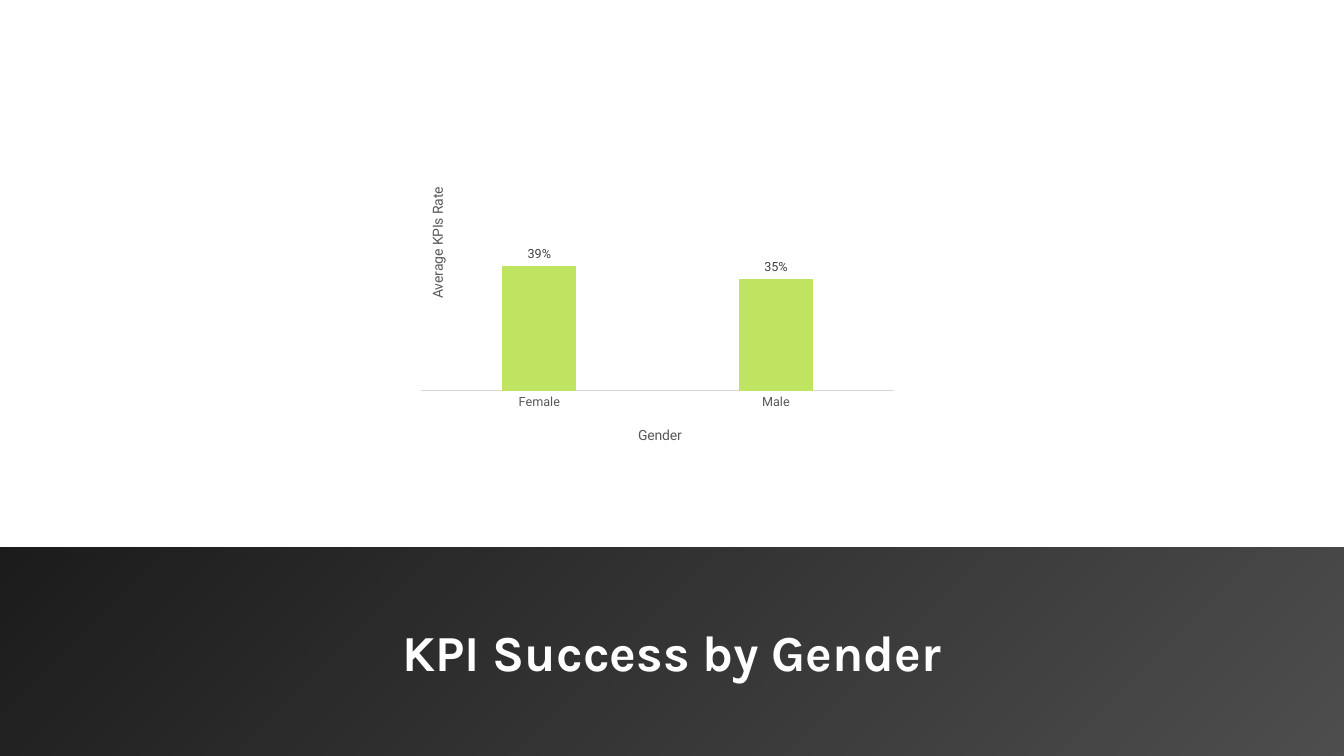
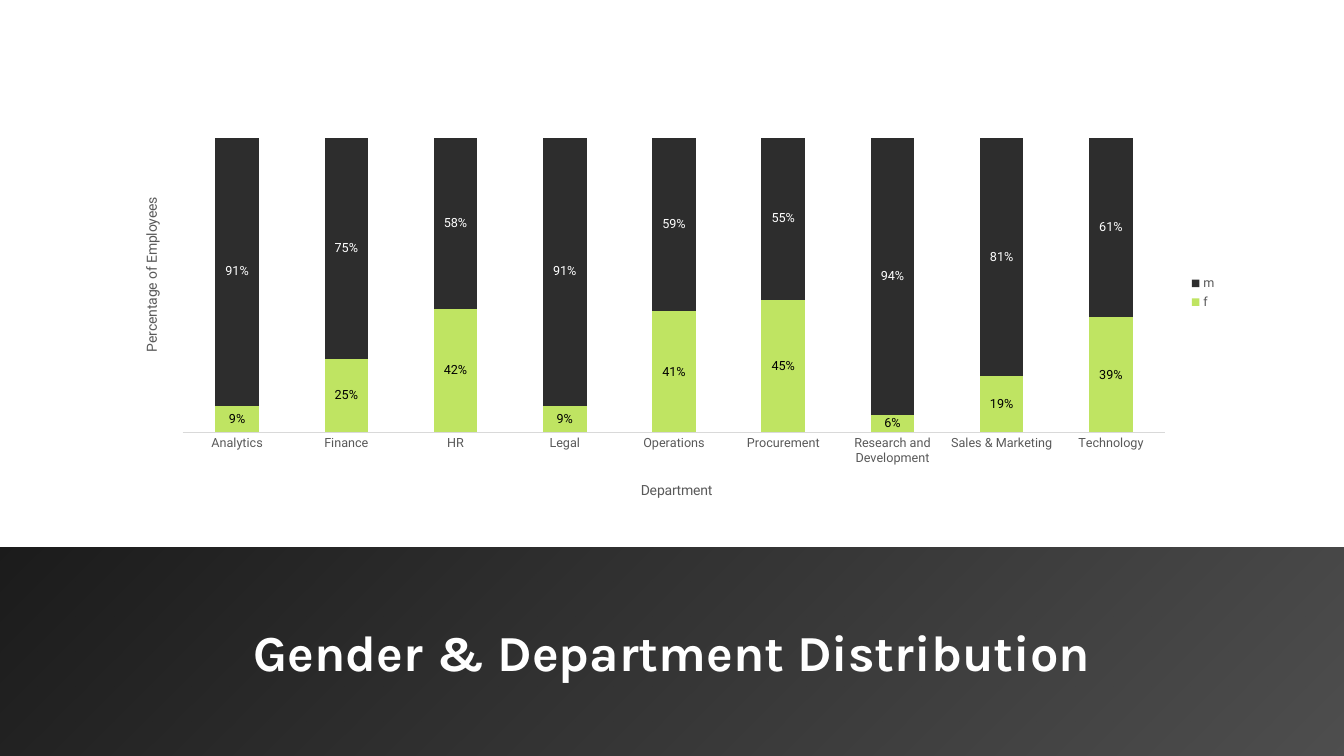
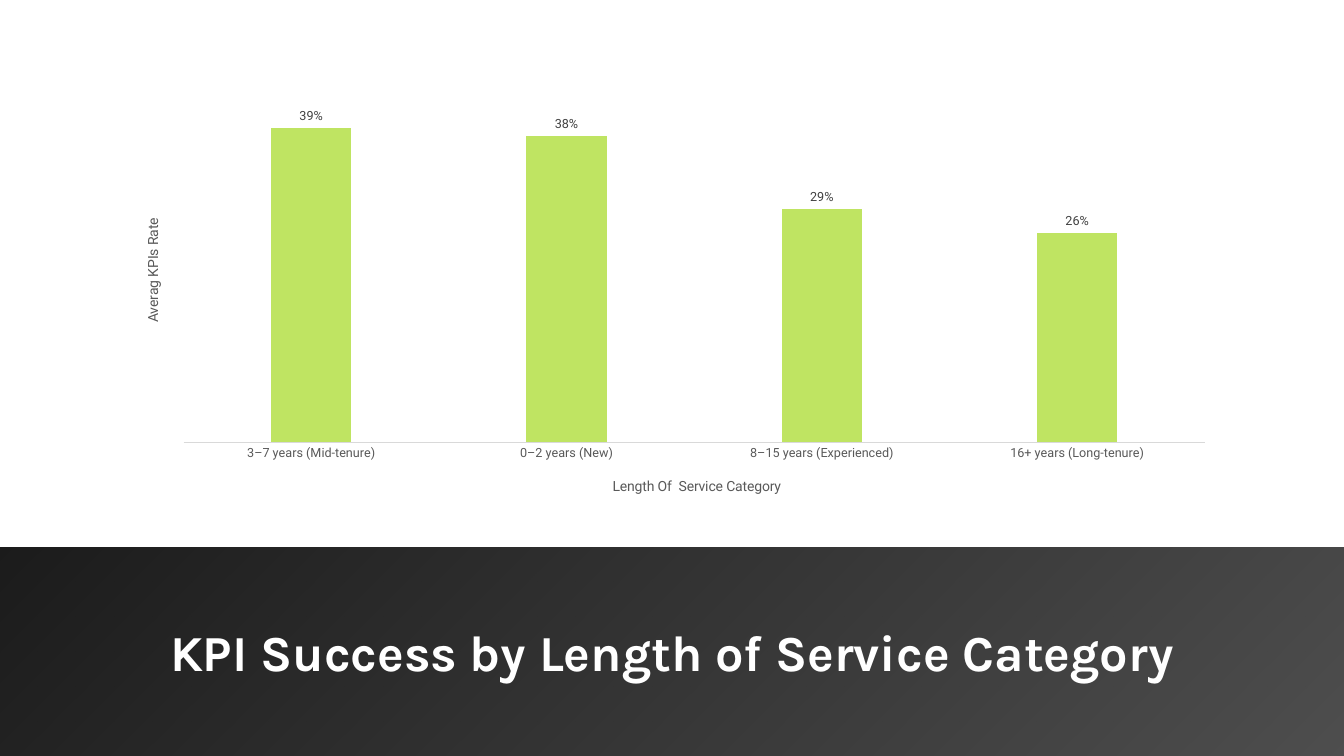
"""Build three slides that each show a column chart above a titled dark band."""

from dataclasses import dataclass

from lxml import etree
from pptx import Presentation
from pptx.chart.axis import CategoryAxis, ValueAxis
from pptx.chart.chart import Chart
from pptx.chart.data import CategoryChartData
from pptx.chart.series import BarSeries
from pptx.dml.color import RGBColor
from pptx.enum.chart import XL_CHART_TYPE, XL_LEGEND_POSITION, XL_TICK_MARK
from pptx.enum.shapes import MSO_SHAPE
from pptx.enum.text import MSO_AUTO_SIZE, PP_ALIGN
from pptx.oxml.ns import qn
from pptx.slide import Slide
from pptx.text.text import Font
from pptx.util import Inches, Pt

CLUSTERED = XL_CHART_TYPE.COLUMN_CLUSTERED
STACKED = XL_CHART_TYPE.COLUMN_STACKED
LEGEND_RIGHT = XL_LEGEND_POSITION.RIGHT
NO_TICK = XL_TICK_MARK.NONE
RECTANGLE = MSO_SHAPE.RECTANGLE
GROW = MSO_AUTO_SIZE.SHAPE_TO_FIT_TEXT
CENTER = PP_ALIGN.CENTER

SLIDE_WIDTH = 13.33
SLIDE_HEIGHT = 7.5
BAND_TOP = 5.43
TITLE_LEFT = 0.94
TITLE_TOP = 6.11
TITLE_HEIGHT = 0.71
BLANK_LAYOUT = 6

TITLE_FONT = "Karla"
CHART_FONT = "Roboto"
BLACK = RGBColor(0x00, 0x00, 0x00)
WHITE = RGBColor(0xFF, 0xFF, 0xFF)
LIME = RGBColor(0xBF, 0xE4, 0x62)
CHARCOAL = RGBColor(0x2D, 0x2D, 0x2D)
LABEL_GRAY = RGBColor(0x40, 0x40, 0x40)
AXIS_GRAY = RGBColor(0x59, 0x59, 0x59)
LINE_GRAY = RGBColor(0xD9, 0xD9, 0xD9)
BAND_OPACITIES = (70, 90)
BAND_ANGLE = 135
PERCENT = "0%"


@dataclass(frozen=True)
class Area:
    """A rectangle on the slide, in inches."""

    left: float
    top: float
    width: float
    height: float


@dataclass(frozen=True)
class AxisCaption:
    """An axis title and its top left corner on the slide, in inches."""

    text: str
    left: float
    top: float


@dataclass(frozen=True)
class ColumnSeries:
    """One data series with its fill and label colours."""

    name: str
    values: tuple[float, ...]
    fill: RGBColor = LIME
    label: RGBColor = LABEL_GRAY


@dataclass(frozen=True)
class ChartSlide:
    """Everything that differs from slide to slide."""

    title: str
    area: Area
    plot: Area
    category_caption: AxisCaption
    value_caption: AxisCaption
    categories: tuple[str, ...]
    series: tuple[ColumnSeries, ...]
    maximum: float
    stacked: bool = False


CHART_SLIDES = (
    ChartSlide(
        title="KPI Success by Gender",
        area=Area(4.17, 0.68, 5, 4.83),
        plot=Area(4.17, 0.7, 4.7, 3.18),
        category_caption=AxisCaption("Gender", 6.3, 4.2),
        value_caption=AxisCaption("Average KPIs Rate", 4.22, 1.83),
        categories=("Female", "Male"),
        series=(ColumnSeries("Series 1", (0.39, 0.35)),),
        maximum=1,
    ),
    ChartSlide(
        title="Gender & Department Distribution",
        area=Area(1.17, 0.69, 11, 4.43),
        plot=Area(1.81, 0.78, 9.75, 3.51),
        category_caption=AxisCaption("Department", 6.33, 4.75),
        value_caption=AxisCaption("Percentage of Employees", 1.39, 1.93),
        categories=(
            "Analytics", "Finance", "HR", "Legal", "Operations", "Procurement",
            "Research and Development", "Sales & Marketing", "Technology",
        ),
        series=(
            ColumnSeries(
                "f", (0.09, 0.25, 0.42, 0.09, 0.41, 0.45, 0.06, 0.19, 0.39), LIME, BLACK
            ),
            ColumnSeries(
                "m", (0.91, 0.75, 0.58, 0.91, 0.59, 0.55, 0.94, 0.81, 0.61), CHARCOAL, WHITE
            ),
        ),
        maximum=1.2,
        stacked=True,
    ),
    ChartSlide(
        title="KPI Success by Length of Service Category",
        area=Area(1.17, 0.66, 11, 4.43),
        plot=Area(1.82, 0.79, 10.13, 3.6),
        category_caption=AxisCaption("Length Of  Service Category", 6.05, 4.71),
        value_caption=AxisCaption("Averag KPIs Rate", 1.4, 2.14),
        categories=(
            "3–7 years (Mid-tenure)", "0–2 years (New)",
            "8–15 years (Experienced)", "16+ years (Long-tenure)",
        ),
        series=(ColumnSeries("Series 1", (0.39, 0.38, 0.29, 0.26)),),
        maximum=0.45,
    ),
)


def style_font(font: Font, name: str, size: float, color: RGBColor, bold: bool = False) -> None:
    """Set the face, size, colour and weight of a font."""
    font.name = name
    font.size = Pt(size)
    font.bold = bold
    font.color.rgb = color


def add_band(slide: Slide) -> None:
    """Draw the translucent gradient band along the bottom."""
    band = slide.shapes.add_shape(
        RECTANGLE, 0, Inches(BAND_TOP), Inches(SLIDE_WIDTH), Inches(SLIDE_HEIGHT - BAND_TOP)
    )
    band.shadow.inherit = False
    band.line.fill.background()
    band.fill.gradient()
    band.fill.gradient_angle = BAND_ANGLE
    for stop in band.fill.gradient_stops:
        stop.color.rgb = BLACK
    colors = band.element.spPr.iter(qn("a:srgbClr"))
    for color, opacity in zip(colors, BAND_OPACITIES):
        etree.SubElement(color, qn("a:alpha"), val=str(opacity * 1000))


def add_title(slide: Slide, text: str) -> None:
    """Write the centred slide title on the band."""
    box = slide.shapes.add_textbox(
        Inches(TITLE_LEFT), Inches(TITLE_TOP),
        Inches(SLIDE_WIDTH - 2 * TITLE_LEFT), Inches(TITLE_HEIGHT),
    )
    box.text_frame.word_wrap = True
    box.text_frame.auto_size = GROW
    paragraph = box.text_frame.paragraphs[0]
    paragraph.alignment = CENTER
    run = paragraph.add_run()
    run.text = text
    style_font(run.font, TITLE_FONT, 36, WHITE, bold=True)


def place(parent: etree.ElementBase, settings: dict[str, str | float]) -> None:
    """Give a chart part a manual layout made of the given settings."""
    layout = parent.find(qn("c:layout"))
    if layout is None:
        layout = parent.makeelement(qn("c:layout"))
        parent.insert(0, layout)
    manual = etree.SubElement(layout, qn("c:manualLayout"))
    for name, value in settings.items():
        etree.SubElement(manual, qn(f"c:{name}"), val=str(value))


def position(left: float, top: float, area: Area) -> dict[str, str | float]:
    """Express a slide position as shares of the chart area."""
    return {
        "xMode": "edge",
        "yMode": "edge",
        "x": (left - area.left) / area.width,
        "y": (top - area.top) / area.height,
    }


def place_plot(chart: Chart, plot: Area, area: Area) -> None:
    """Fix the inner plot rectangle within the chart area."""
    size = {"w": plot.width / area.width, "h": plot.height / area.height}
    place(
        chart.element.find(f".//{qn('c:plotArea')}"),
        {"layoutTarget": "inner"} | position(plot.left, plot.top, area) | size,
    )


def add_caption(
    axis: CategoryAxis | ValueAxis, caption: AxisCaption, area: Area, upright: bool = False
) -> None:
    """Write an axis title at its place, turned to read upwards if upright."""
    title = axis.axis_title
    run = title.text_frame.paragraphs[0].add_run()
    run.text = caption.text
    style_font(run.font, CHART_FONT, 10, AXIS_GRAY)
    if upright:
        body = title.element.find(f".//{qn('a:bodyPr')}")
        body.set("rot", "-5400000")
        body.set("vert", "horz")
    place(title.element, position(caption.left, caption.top, area))


def style_series(series: BarSeries, column: ColumnSeries) -> None:
    """Colour a series and show its values as percentages."""
    series.format.fill.solid()
    series.format.fill.fore_color.rgb = column.fill
    series.invert_if_negative = False
    labels = series.data_labels
    labels.show_value = True
    labels.number_format = PERCENT
    labels.number_format_is_linked = False
    style_font(labels.font, CHART_FONT, 9, column.label)


def style_axes(chart: Chart, content: ChartSlide) -> None:
    """Format the category axis and hide the value axis behind its title."""
    category_axis = chart.category_axis
    category_axis.major_tick_mark = NO_TICK
    category_axis.format.line.color.rgb = LINE_GRAY
    category_axis.format.line.width = Pt(0.75)
    style_font(category_axis.tick_labels.font, CHART_FONT, 9, AXIS_GRAY)
    add_caption(category_axis, content.category_caption, content.area)

    value_axis = chart.value_axis
    value_axis.minimum_scale = 0
    value_axis.maximum_scale = content.maximum
    value_axis.has_major_gridlines = False
    value_axis.tick_labels.number_format = PERCENT
    value_axis.tick_labels.number_format_is_linked = False
    value_axis.visible = False
    add_caption(value_axis, content.value_caption, content.area, upright=True)


def add_column_chart(slide: Slide, content: ChartSlide) -> None:
    """Add the slide's column chart."""
    data = CategoryChartData(number_format=PERCENT)
    data.categories = content.categories
    for column in content.series:
        data.add_series(column.name, column.values)
    area = content.area
    chart = slide.shapes.add_chart(
        STACKED if content.stacked else CLUSTERED,
        Inches(area.left), Inches(area.top), Inches(area.width), Inches(area.height), data,
    ).chart
    style_font(chart.font, CHART_FONT, 10, BLACK)
    chart.has_title = False
    chart.has_legend = content.stacked
    if content.stacked:
        chart.legend.position = LEGEND_RIGHT
        chart.legend.include_in_layout = False
        style_font(chart.legend.font, CHART_FONT, 9, AXIS_GRAY)

    plot = chart.plots[0]
    plot.vary_by_categories = False
    plot.gap_width = 150 if content.stacked else 219
    plot.overlap = 100 if content.stacked else -27
    for series, column in zip(plot.series, content.series):
        style_series(series, column)
    style_axes(chart, content)
    place_plot(chart, content.plot, area)


def main() -> None:
    """Build and save the presentation."""
    presentation = Presentation()
    presentation.slide_width = Inches(SLIDE_WIDTH)
    presentation.slide_height = Inches(SLIDE_HEIGHT)
    for content in CHART_SLIDES:
        slide = presentation.slides.add_slide(presentation.slide_layouts[BLANK_LAYOUT])
        add_band(slide)
        add_title(slide, content.title)
        add_column_chart(slide, content)
    presentation.save("out.pptx")


if __name__ == "__main__":
    main()
